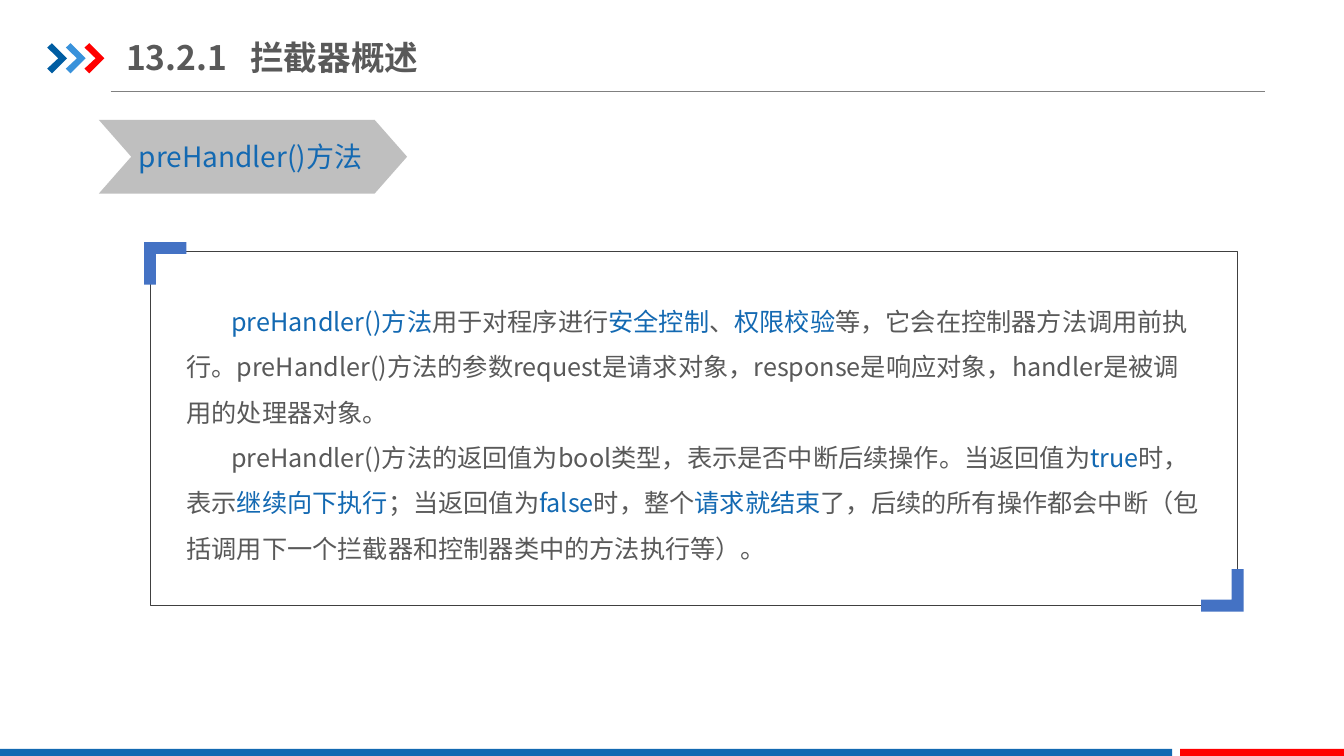
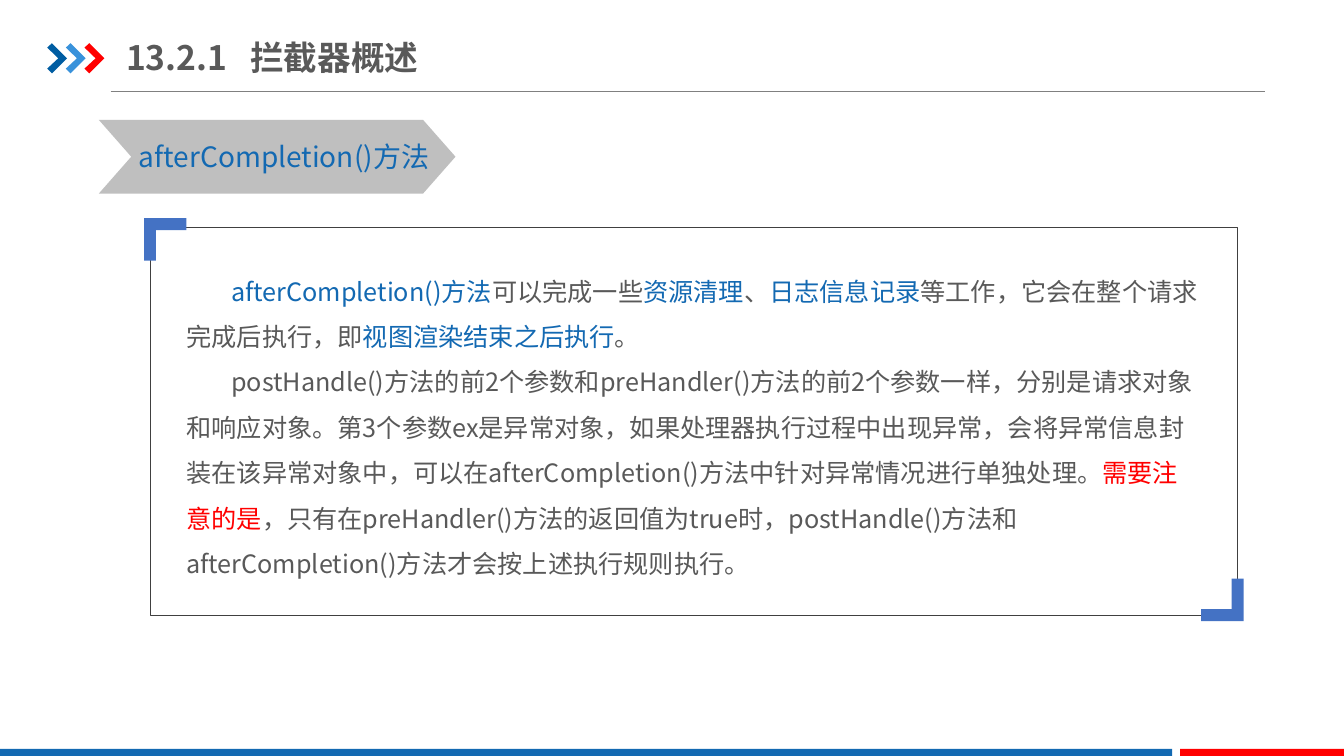
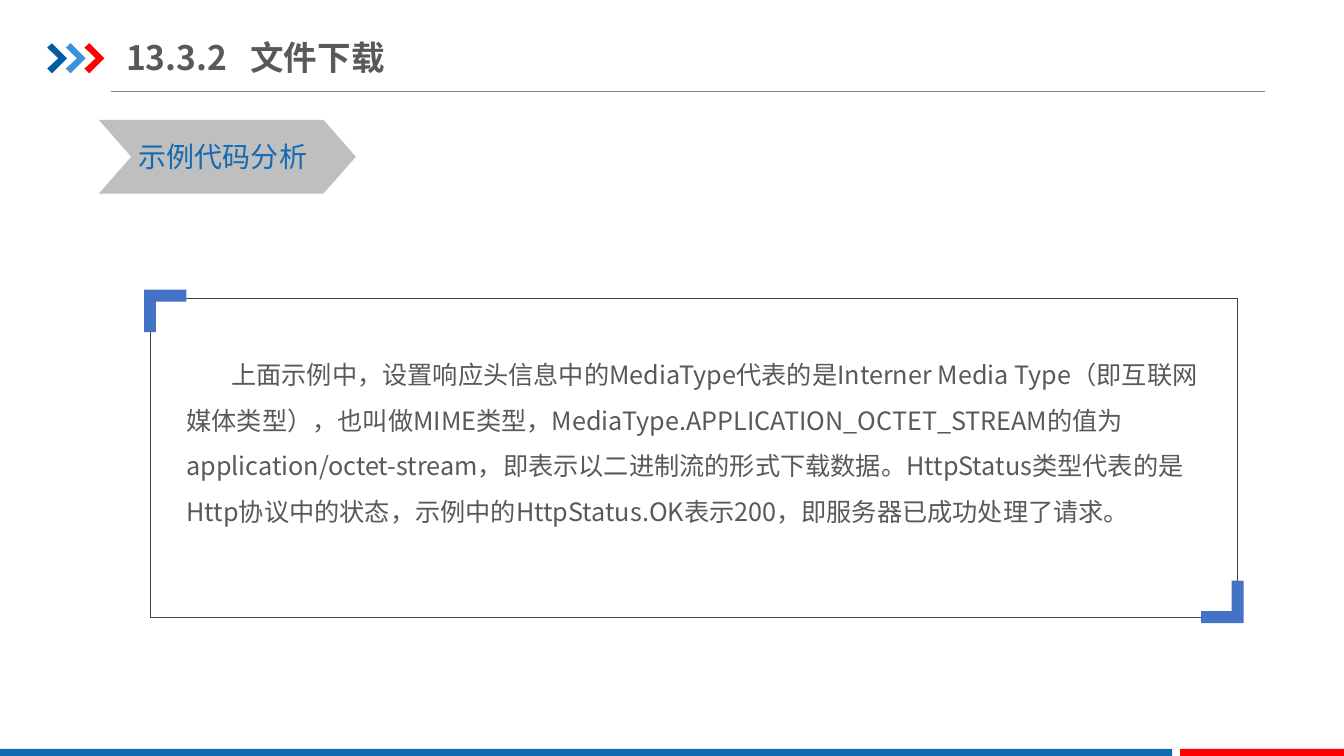
from dataclasses import dataclass

from lxml.etree import SubElement
from pptx import Presentation
from pptx.dml.color import RGBColor
from pptx.enum.shapes import MSO_CONNECTOR, MSO_SHAPE
from pptx.enum.text import MSO_ANCHOR
from pptx.oxml.ns import qn
from pptx.slide import Slide
from pptx.text.text import TextFrame
from pptx.util import Cm, Pt

FONT = "Noto Sans CJK SC"
COLORS = {
    "text": "595959",
    "blue": "1369B2",
    "red": "FF0000",
    "dark_blue": "005DA2",
    "light_blue": "3992DB",
    "rule": "808080",
    "banner": "BFBFBF",
    "frame": "404040",
    "bracket": "4472C4",
}
SLIDE_WIDTH, SLIDE_HEIGHT = 33.87, 19.05
FRAME_LEFT, FRAME_WIDTH = 3.78, 27.41
BODY_LEFT, BODY_WIDTH = 4.45, 26.09
FIRST_LINE_INDENT = 1.13
TITLE_TAB = 3.13
ARROW_OUTLINE = [(0, 0.11), (0.12, 0), (0.5, 0.38), (0.12, 0.76), (0, 0.64), (0.28, 0.38)]
BRACKET_OUTLINE = [(0, 0), (1.07, 0), (1.07, 0.3), (0.3, 0.3), (0.3, 1.07), (0, 1.07)]


@dataclass(frozen=True)
class Span:
    text: str
    color: str = "text"


@dataclass(frozen=True)
class Box:
    """A rectangle in centimetres."""
    left: float
    top: float
    width: float
    height: float

    def emu(self) -> tuple[Cm, Cm, Cm, Cm]:
        return Cm(self.left), Cm(self.top), Cm(self.width), Cm(self.height)


@dataclass(frozen=True)
class Topic:
    number: str
    title: str
    title_width: float
    label: str
    label_width: float
    banner_width: float
    frame_top: float
    frame_height: float
    body_top: float
    body_height: float
    paragraphs: list[list[Span]]


def rgb(color: str) -> RGBColor:
    return RGBColor.from_string(COLORS[color])


# Drawing helpers
def add_filled(slide: Slide, preset: MSO_SHAPE, box: Box, color: str):
    shape = slide.shapes.add_shape(preset, *box.emu())
    shape.shadow.inherit = False
    shape.fill.solid()
    shape.fill.fore_color.rgb = rgb(color)
    shape.line.fill.background()
    return shape


def add_outline(slide: Slide, left: float, top: float, outline: list[tuple[float, float]],
                color: str, direction: int = 1) -> None:
    """Draw a closed outline; direction -1 turns it by half a turn."""
    points = [(Cm(left + direction * x), Cm(top + direction * y)) for x, y in outline]
    builder = slide.shapes.build_freeform(*points[0])
    builder.add_line_segments(points[1:], close=True)
    shape = builder.convert_to_shape()
    shape.shadow.inherit = False
    shape.fill.solid()
    shape.fill.fore_color.rgb = rgb(color)
    shape.line.fill.background()


def add_text_frame(slide: Slide, box: Box) -> TextFrame:
    frame = slide.shapes.add_textbox(*box.emu()).text_frame
    frame.word_wrap = True
    return frame


def add_run(paragraph, span: Span, size: int, bold: bool = False) -> None:
    run = paragraph.add_run()
    run.text = span.text
    run.font.size = Pt(size)
    run.font.bold = bold
    run.font.color.rgb = rgb(span.color)
    run.font.name = FONT
    SubElement(run.font._element, qn("a:ea")).set("typeface", FONT)


# Parts of a slide
def add_shared_parts(slide: Slide) -> None:
    rule = slide.shapes.add_connector(MSO_CONNECTOR.STRAIGHT, Cm(2.79), Cm(2.31), Cm(31.88), Cm(2.31))
    rule.line.color.rgb = rgb("rule")
    rule.line.width = Pt(0.5)
    SubElement(rule._element.spPr, qn("a:effectLst"))
    for index, color in enumerate(("dark_blue", "light_blue", "red")):
        add_outline(slide, 1.19 + index * 0.47, 1.09, ARROW_OUTLINE, color)
    red_left = 29.74
    add_filled(slide, MSO_SHAPE.RECTANGLE, Box(0, 18.87, red_left - 0.2, 0.23), "blue")
    add_filled(slide, MSO_SHAPE.RECTANGLE, Box(red_left, 18.87, SLIDE_WIDTH - red_left, 0.23), "red")


def add_title(slide: Slide, topic: Topic) -> None:
    frame = add_text_frame(slide, Box(3.18, 0.74, topic.title_width, 1.4))
    frame.vertical_anchor = MSO_ANCHOR.MIDDLE
    frame.margin_left = frame.margin_right = 0
    frame.margin_top = frame.margin_bottom = Cm(0.18)
    paragraph = frame.paragraphs[0]
    tabs = SubElement(paragraph._p.get_or_add_pPr(), qn("a:tabLst"))
    tab = SubElement(tabs, qn("a:tab"))
    tab.set("pos", str(Cm(TITLE_TAB)))
    tab.set("algn", "l")
    add_run(paragraph, Span(f"{topic.number}\t{topic.title}"), 24, bold=True)


def add_banner(slide: Slide, topic: Topic) -> None:
    banner = add_filled(slide, MSO_SHAPE.CHEVRON, Box(2.49, 3.02, topic.banner_width, 1.86), "banner")
    banner.adjustments[0] = 0.44
    label = add_text_frame(slide, Box(3.25, 3.38, topic.label_width, 1.11))
    add_run(label.paragraphs[0], Span(topic.label, "blue"), 20)


def add_body(slide: Slide, topic: Topic) -> None:
    frame = add_text_frame(slide, Box(BODY_LEFT, topic.body_top, BODY_WIDTH, topic.body_height))
    for index, spans in enumerate(topic.paragraphs):
        paragraph = frame.add_paragraph() if index else frame.paragraphs[0]
        paragraph.line_spacing = 1.5
        paragraph._p.get_or_add_pPr().set("indent", str(Cm(FIRST_LINE_INDENT)))
        for span in spans:
            add_run(paragraph, span, 18)


def add_bracketed_frame(slide: Slide, topic: Topic) -> None:
    box = Box(FRAME_LEFT, topic.frame_top, FRAME_WIDTH, topic.frame_height)
    border = slide.shapes.add_shape(MSO_SHAPE.RECTANGLE, *box.emu())
    border.shadow.inherit = False
    border.fill.background()
    border.line.color.rgb = rgb("frame")
    border.line.width = Pt(0.25)
    add_outline(slide, box.left - 0.15, box.top - 0.22, BRACKET_OUTLINE, "bracket")
    add_outline(slide, box.left + box.width + 0.15, box.top + box.height + 0.15,
                BRACKET_OUTLINE, "bracket", direction=-1)


# Content
TOPICS = [
    Topic(
        "13.2.1", "拦截器概述", 11.33, "preHandler()方法", 6.45, 7.77, 6.32, 8.94, 7.21, 7.24,
        [
            [
                Span("preHandler()方法", "blue"),
                Span("用于对程序进行"),
                Span("安全控制", "blue"),
                Span("、"),
                Span("权限校验", "blue"),
                Span("等，它会在控制器方法调用前执行。preHandler()方法的参数request是请求对象，"
                     "response是响应对象，handler是被调用的处理器对象。"),
            ],
            [
                Span("preHandler()方法的返回值为bool类型，表示是否中断后续操作。当返回值为"),
                Span("true", "blue"),
                Span("时，表示"),
                Span("继续向下执行", "blue"),
                Span("；当返回值为"),
                Span("false", "blue"),
                Span("时，整个"),
                Span("请求就结束", "blue"),
                Span("了，后续的所有操作都会中断（包括调用下一个拦截器和控制器类中的方法执行等）。"),
            ],
        ],
    ),
    Topic(
        "13.2.1", "拦截器概述", 11.33, "afterCompletion()方法", 8.2, 8.99, 5.72, 9.78, 6.45, 8.26,
        [
            [
                Span("afterCompletion()方法", "blue"),
                Span("可以完成一些"),
                Span("资源清理", "blue"),
                Span("、"),
                Span("日志信息记录", "blue"),
                Span("等工作，它会在整个请求完成后执行，即"),
                Span("视图渲染结束之后执行", "blue"),
                Span("。"),
            ],
            [
                Span("postHandle()方法的前2个参数和preHandler()方法的前2个参数一样，"
                     "分别是请求对象和响应对象。第3个参数ex是异常对象，"
                     "如果处理器执行过程中出现异常，会将异常信息封装在该异常对象中，"
                     "可以在afterCompletion()方法中针对异常情况进行单独处理。"),
                Span("需要注意的是", "red"),
                Span("，只有在preHandler()方法的返回值为true时，"
                     "postHandle()方法和afterCompletion()方法才会按上述执行规则执行。"),
            ],
        ],
    ),
    Topic(
        "13.3.2", "文件下载", 7.54, "示例代码分析", 4.9, 6.48, 7.52, 8.03, 8.56, 6.22,
        [
            [
                Span("上面示例中，设置响应头信息中的MediaType代表的是Interner Media Type"
                     "（即互联网媒体类型），也叫做MIME类型，"
                     "MediaType.APPLICATION_OCTET_STREAM的值为application/octet-stream，"
                     "即表示以二进制流的形式下载数据。HttpStatus类型代表的是Http协议中的状态，"
                     "示例中的HttpStatus.OK表示200，即服务器已成功处理了请求。"),
            ],
        ],
    ),
]


def main() -> None:
    deck = Presentation()
    deck.slide_width, deck.slide_height = Cm(SLIDE_WIDTH), Cm(SLIDE_HEIGHT)
    blank = deck.slide_layouts[6]
    for topic in TOPICS:
        slide = deck.slides.add_slide(blank)
        add_shared_parts(slide)
        add_banner(slide, topic)
        add_title(slide, topic)
        add_body(slide, topic)
        add_bracketed_frame(slide, topic)
    deck.save("out.pptx")


if __name__ == "__main__":
    main()
